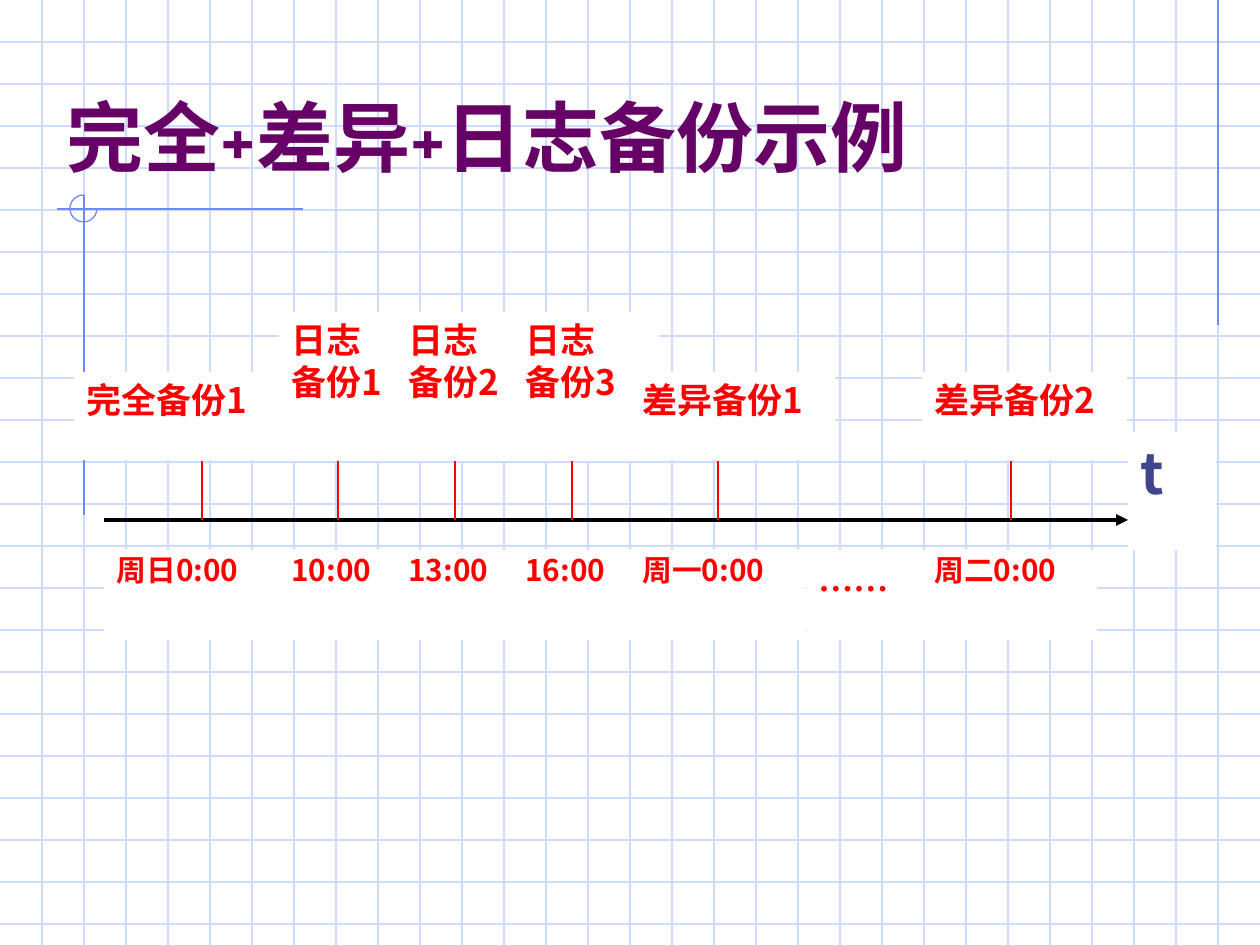
import pptx
import pptx.util
import pptx.dml.color
import pptx.enum.shapes
import pptx.enum.text
import lxml.etree

PX = 914400 / 126
W, H = 1260, 945
CELL = 42
SANS = "Noto Sans CJK SC"
COLORS = {
    "white": "FFFFFF",
    "grid": "CFDBFD",
    "trim": "6F89F7",
    "title": "660066",
    "axis": "000000",
    "red": "FF0000",
    "time": "40458C",
}
A = "{http://schemas.openxmlformats.org/drawingml/2006/main}"

deck = pptx.Presentation()
deck.slide_width = int(W * PX)
deck.slide_height = int(H * PX)
slide = deck.slides.add_slide(deck.slide_layouts[5])
shapes = slide.shapes
title = shapes.title


def add_line(x1, y1, x2, y2, color, width):
    line = shapes.add_connector(
        pptx.enum.shapes.MSO_CONNECTOR.STRAIGHT,
        *[int(v * PX) for v in (x1, y1, x2, y2)])
    line.line.color.rgb = pptx.dml.color.RGBColor.from_string(COLORS[color])
    line.line.width = pptx.util.Pt(width)
    lxml.etree.SubElement(line._element.spPr, A + "effectLst")
    return line


def set_text(frame, text, size, color, face, align, space=None):
    frame.text = text
    frame.word_wrap = True
    frame.auto_size = pptx.enum.text.MSO_AUTO_SIZE.NONE
    for para in frame.paragraphs:
        para.alignment = align
        if space:
            para.line_spacing = space
        font = para.font
        font.size = pptx.util.Pt(size)
        font.bold = True
        font.color.rgb = pptx.dml.color.RGBColor.from_string(COLORS[color])
        font.name = face
        east = lxml.etree.SubElement(font._element, A + "ea")
        east.set("typeface", face if face != "Cabin" else SANS)


for y in range(CELL, H, CELL):
    add_line(0, y, W, y, "grid", 0.75)
for x in range(CELL, W, CELL):
    add_line(x, 0, x, H, "grid", 0.75)

add_line(1218, 0, 1218, 325, "trim", 0.75)
add_line(303, 209, 57, 209, "trim", 0.75)
add_line(84, 195, 84, 515, "trim", 0.75)
arc = shapes.add_shape(
    pptx.enum.shapes.MSO_SHAPE.ARC,
    *[int(v * PX) for v in (70, 195, 27, 27)])
arc.adjustments[0] = 0
arc.adjustments[1] = 162
arc.shadow.inherit = False
arc.fill.background()
arc.line.color.rgb = pptx.dml.color.RGBColor.from_string(COLORS["trim"])
arc.line.width = pptx.util.Pt(0.75)

title.left, title.top, title.width, title.height = [
    int(v * PX) for v in (54, 66, 1113, 122)]
set_text(title.text_frame, "完全+差异+日志备份示例", 44, "title", "Cabin",
         pptx.enum.text.PP_ALIGN.LEFT)
title.text_frame.vertical_anchor = pptx.enum.text.MSO_ANCHOR.BOTTOM
shapes._spTree.append(title._element)

axis = add_line(104, 520, 1128, 520, "axis", 2.25)
tail = lxml.etree.SubElement(axis.line._get_or_add_ln(), A + "tailEnd")
tail.set("type", "triangle")

for x in (202, 338, 455, 572, 718, 1011):
    add_line(x, 461, x, 520, "red", 1.5)

boxes = [
    (74, 372, 263, 88, "完全备份1", 20, "red", SANS, None),
    (1128, 432, 88, 118, "t", 32, "time", SANS, None),
    (806, 550, 117, 90, "……", 20, "red", "Times New Roman", None),
    (922, 372, 205, 88, "差异备份2", 20, "red", SANS, None),
]
for i in range(3):
    boxes.append((279 + 117 * i, 312, 146, 149, f"日志\n备份{i + 1}",
                  20, "red", SANS, None))
    boxes.append((279 + 117 * i, 550, 117, 90, f"{10 + 3 * i}:00",
                  17, "red", SANS, 0.9))
for x, day in ((104, "周日"), (630, "周一"), (922, "周二")):
    boxes.append((x, 550, 175, 90, day + "0:00", 17, "red", SANS, 0.9))
boxes.append((630, 372, 205, 88, "差异备份1", 20, "red", SANS, None))

for x, y, w, h, text, size, color, face, space in boxes:
    box = shapes.add_shape(
        pptx.enum.shapes.MSO_SHAPE.RECTANGLE,
        *[int(v * PX) for v in (x, y, w, h)])
    box.shadow.inherit = False
    box.fill.solid()
    box.fill.fore_color.rgb = pptx.dml.color.RGBColor.from_string(COLORS["white"])
    box.line.fill.background()
    set_text(box.text_frame, text, size, color, face,
             pptx.enum.text.PP_ALIGN.JUSTIFY, space)
    box.text_frame.vertical_anchor = pptx.enum.text.MSO_ANCHOR.TOP

deck.save("out.pptx")
